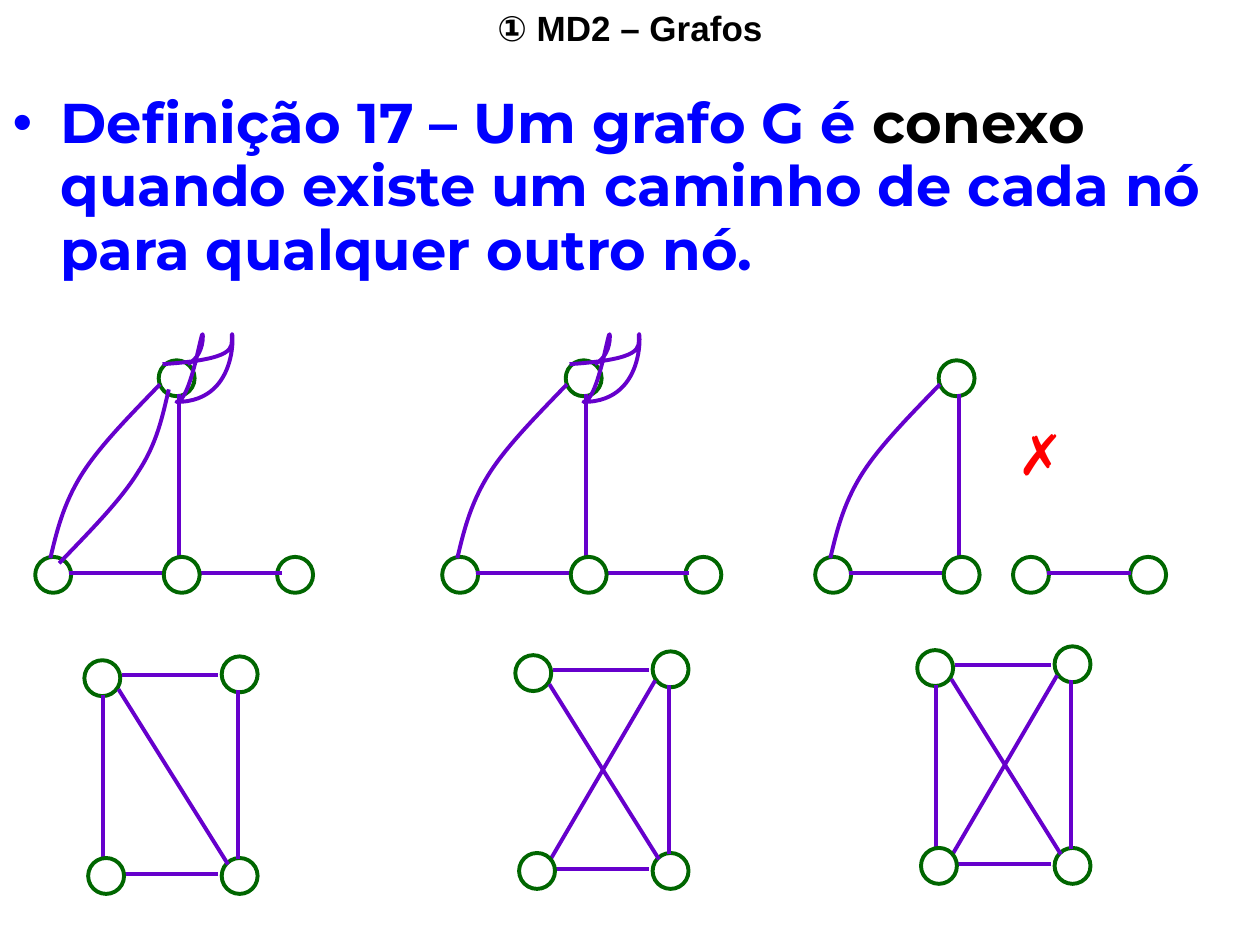
from lxml.etree import SubElement
from pptx import Presentation
from pptx.dml.color import RGBColor
from pptx.enum.shapes import MSO_CONNECTOR, MSO_SHAPE
from pptx.enum.text import MSO_ANCHOR, MSO_AUTO_SIZE, PP_ALIGN
from pptx.oxml.ns import qn
from pptx.util import Inches, Pt

COLORS = {"text": "000000", "blue": "0000FF", "node": "006600",
          "edge": "6600CC", "white": "FFFFFF", "cross": "FF0000"}
SIZE = 0.285

# Edges of the upper graphs: (x1, y1, x2, y2) from the graph's corner
BASE = (0.27, 2.14, 1.02, 2.14)
SIDE = (1.14, 0.72, 1.14, 2.06)
TAIL = (1.96, 2.14, 1.29, 2.14)

# Curves: box from the graph's corner, turn, and points in that box
# (a start, then cubic steps of two controls and an end)
OUTER = ((0.12, 0.64, 0.87, 1.38), 0,
         [(0, 1.38), (0.05, 1.17), (0.1, 0.96), (0.24, 0.73),
          (0.38, 0.5), (0.63, 0.25), (0.87, 0)])
INNER = ((0.19, 0.68, 0.87, 1.38), 0,
         [(0.87, 0), (0.82, 0.21), (0.78, 0.42), (0.63, 0.65),
          (0.49, 0.88), (0.24, 1.13), (0, 1.38)])
LOOP = ((0.9, 0, 0.43, 0.48), 180,
        [(0.32, 0), (-0.27, 0.04), (-0.23, 0.13), (-0.23, 0.22),
         (-0.23, 0.36), (-0.32, -0.3), (0.21, -0.3),
         (0.09, -0.3), (0, 0.36), (0, 0.22),
         (0, 0.13), (0.04, 0.04), (0.12, 0)])

# Edges of the lower graphs
LEFT = (0.15, 0.31, 0.15, 1.65)
RIGHT = (1.22, 0.27, 1.22, 1.61)
TOP = (1.06, 0.15, 0.3, 0.15)
FOOT = (1.06, 1.73, 0.3, 1.73)
FALL = (0.27, 0.26, 1.14, 1.65)
RISE = (1.11, 0.23, 0.28, 1.65)


def color(name):
    return RGBColor.from_string(COLORS[name])


def style(font, tint, **values):
    for key, value in values.items():
        setattr(font, key, value)
    font.color.rgb = color(tint)


def stroke(shape, tint):
    shape.line.color.rgb = color(tint)
    shape.line.width = Pt(2.25)


def place(shape, left, top, width, height):
    box = {"left": left, "top": top, "width": width, "height": height}
    for key, value in box.items():
        setattr(shape, key, Inches(value))


def node(group, x, y):
    dot = group.shapes.add_shape(
        MSO_SHAPE.FLOWCHART_CONNECTOR,
        Inches(x), Inches(y), Inches(SIZE), Inches(SIZE))
    dot.shadow.inherit = False
    dot.fill.solid()
    dot.fill.fore_color.rgb = color("white")
    stroke(dot, "node")


def edge(group, x, y, ends):
    x1, y1, x2, y2 = ends
    line = group.shapes.add_connector(
        MSO_CONNECTOR.STRAIGHT, Inches(x + x1), Inches(y + y1),
        Inches(x + x2), Inches(y + y2))
    stroke(line, "edge")
    SubElement(line._element.spPr, qn("a:effectLst"))


def curve(group, x, y, box, turn, points):
    left, top, width, height = box
    pen = group.shapes.build_freeform(Inches(x + left), Inches(y + top))
    pen.add_line_segments(
        [(Inches(x + left + width), Inches(y + top + height))], close=False)
    shape = pen.convert_to_shape()
    shape.rotation = turn
    shape.shadow.inherit = False
    shape.fill.background()
    stroke(shape, "edge")

    # Swap the straight segment for cubic ones
    track = shape._element.find(".//" + qn("a:path"))
    for part in list(track):
        track.remove(part)
    step = SubElement(track, qn("a:moveTo"))
    for i, (a, b) in enumerate(points):
        if i % 3 == 1:
            step = SubElement(track, qn("a:cubicBezTo"))
        SubElement(step, qn("a:pt"), x=str(Inches(a)), y=str(Inches(b)))


def upper(slide, x, y, ends, edges, curves):
    """Triangle graph, with further bottom nodes at the offsets in ends."""
    group = slide.shapes.add_group_shape()
    for dx, dy in [(0, 2.01), (0.98, 0.45)] + [(e, 2.01) for e in ends]:
        node(group, x + dx, y + dy)
    for line in edges:
        edge(group, x, y, line)
    node(group, x + 1.02, y + 2.01)
    for bend in curves:
        curve(group, x, y, *bend)
    return group


def lower(slide, x, y, edges):
    """Four nodes at the corners of a rectangle."""
    group = slide.shapes.add_group_shape()
    for dx, dy in [(0, 0.03), (1.09, 0), (1.09, 1.6)]:
        node(group, x + dx, y + dy)
    for ends in edges:
        edge(group, x, y, ends)
    node(group, x + 0.03, y + 1.6)


def cross(group, x, y):
    box = group.shapes.add_textbox(
        Inches(x), Inches(y), Inches(0.5), Inches(0.64))
    box.text_frame.word_wrap = False
    run = box.text_frame.paragraphs[0].add_run()
    run.text = "✗"
    style(run.font, "cross", size=Pt(32), name="Arial")


def frame(shape, box):
    """Move a placeholder and return its first paragraph."""
    place(shape, *box)
    text = shape.text_frame
    values = {"word_wrap": True, "auto_size": MSO_AUTO_SIZE.NONE,
              "vertical_anchor": MSO_ANCHOR.TOP}
    for key, value in values.items():
        setattr(text, key, value)
    para = text.paragraphs[0]
    para.space_before = Pt(0)
    return para


def heading(shape, box):
    para = frame(shape, box)
    para.alignment = PP_ALIGN.CENTER
    run = para.add_run()
    run.text = "① MD2 – Grafos"
    style(run.font, "text", size=Pt(20), name="Arial", bold=True)


def body(shape, box):
    para = frame(shape, box)
    props = para._p.get_or_add_pPr()
    props.set("marL", str(Inches(0.38)))
    props.set("indent", str(-Inches(0.38)))
    tint = SubElement(props, qn("a:buClr"))
    SubElement(tint, qn("a:srgbClr"), val=COLORS["blue"])
    SubElement(props, qn("a:buChar"), char="•")
    para.line_spacing = 0.95
    for words, tint in [
            ("Definição 17 – Um grafo G é ", "blue"),
            ("conexo", "text"),
            (" quando existe um caminho de cada nó para qualquer outro nó.",
             "blue")]:
        run = para.add_run()
        run.text = words
        style(run.font, tint, size=Pt(32), name="Montserrat", bold=True)


def main():
    deck = Presentation()
    deck.slide_width, deck.slide_height = Inches(10), Inches(7.5)
    slide = deck.slides.add_slide(deck.slide_layouts[1])

    # Title and definition
    heading(slide.shapes.title, (0, 0, 10, 0.44))
    body(slide.placeholders[1], (0, 0.68, 10, 1.62))

    # Upper row: two connected graphs and one that is not
    row = 2.41
    upper(slide, 0.28, row, [1.92], [BASE, SIDE, TAIL], [LOOP, OUTER, INNER])
    upper(slide, 3.51, row, [1.93], [BASE, SIDE, TAIL], [LOOP, OUTER])
    apart = (2.51, 2.14, 1.84, 2.14)
    split = upper(slide, 6.47, row, [1.57, 2.5], [BASE, SIDE, apart], [OUTER])
    cross(split, 7.98, 3.28)

    # Lower row: connected graphs on four nodes
    lower(slide, 0.67, 5.21, [LEFT, FOOT, FALL, RIGHT, TOP])
    lower(slide, 4.09, 5.17, [FOOT, FALL, RISE, RIGHT, TOP])
    lower(slide, 7.28, 5.13, [LEFT, FOOT, FALL, RISE, RIGHT, TOP])

    deck.save("out.pptx")


if __name__ == "__main__":
    main()
